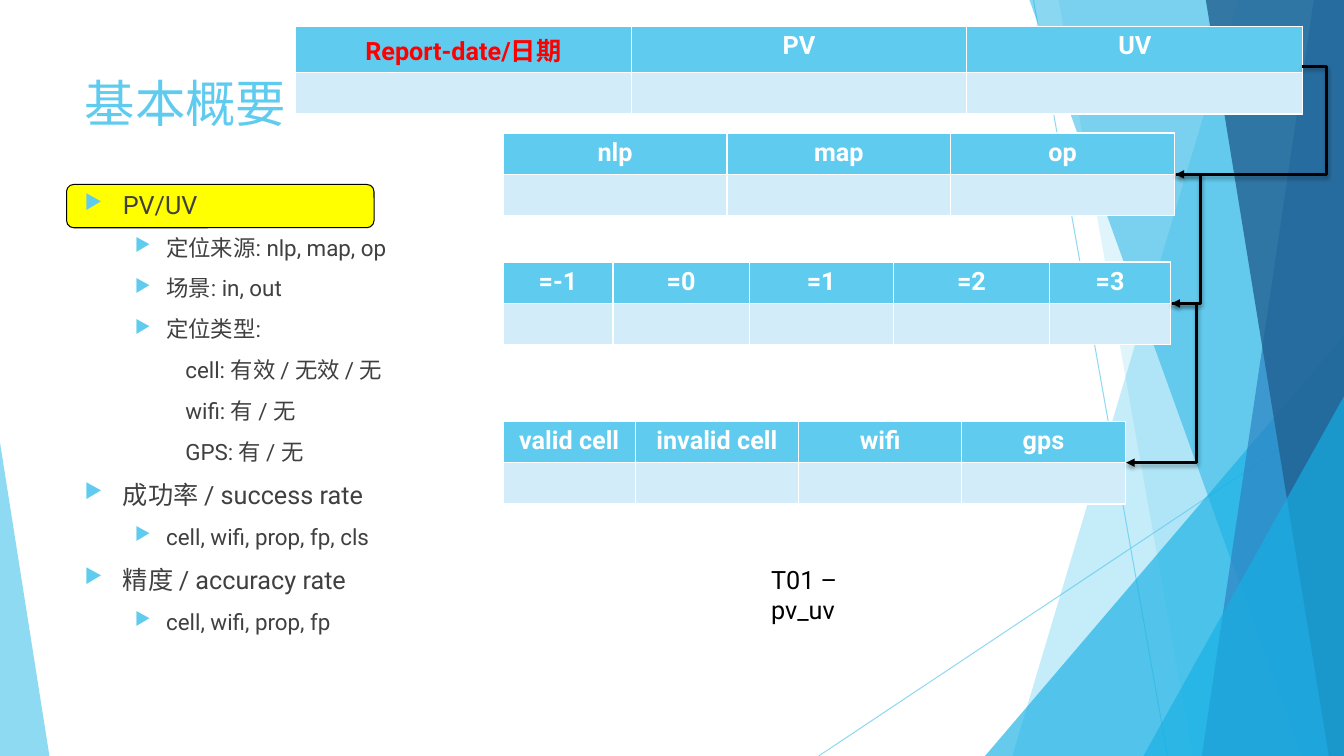
from lxml.etree import SubElement
from pptx import Presentation
from pptx.dml.color import RGBColor
from pptx.enum.shapes import MSO_CONNECTOR, MSO_SHAPE
from pptx.enum.text import MSO_ANCHOR, MSO_AUTO_SIZE, PP_ALIGN
from pptx.oxml.ns import qn
from pptx.util import Inches, Pt

FONT = "Roboto"
SKY = RGBColor(0x5F, 0xCB, 0xEF)
CYAN = RGBColor(0x17, 0xB0, 0xE4)
BLUE = RGBColor(0x2E, 0x83, 0xC3)
NAVY = RGBColor(0x22, 0x62, 0x92)
PALE = RGBColor(0xD2, 0xEC, 0xF9)
GREY = RGBColor(0x40, 0x40, 0x40)
YELLOW = RGBColor(0xFF, 0xFF, 0x00)
RED = RGBColor(0xFF, 0x00, 0x00)
BLACK = RGBColor(0, 0, 0)
WHITE = RGBColor(0xFF, 0xFF, 0xFF)

WIDTH, HEIGHT = 13.33, 7.5
ROW_HEIGHT = 0.41
ELBOW_REACH = 0.25

# Content
TITLE = "基本概要"
CAPTION = "T01 – pv_uv"
OUTLINE = [
    ("main", "PV/UV"),
    ("sub", "定位来源: nlp, map, op"),
    ("sub", "场景: in, out"),
    ("sub", "定位类型:"),
    ("detail", "cell: 有效 / 无效 / 无"),
    ("detail", "wifi: 有 / 无"),
    ("detail", "GPS: 有 / 无"),
    ("main", "成功率 / success rate"),
    ("sub", "cell, wifi, prop, fp, cls"),
    ("main", "精度 / accuracy rate"),
    ("sub", "cell, wifi, prop, fp"),
]
# Kind: level, size, left margin, first-line indent, bullet
OUTLINE_STYLES = {
    "main": (0, 18, 0.38, -0.38, True),
    "sub": (1, 16, 0.81, -0.31, True),
    "detail": (1, 16, 1.0, 0, False),
}
# Left, top, column widths, headings
TABLES = [
    (2.93, 0.26, [3.33] * 3, ["Report-date/日期", "PV", "UV"]),
    (4.99, 1.32, [2.22] * 3, ["nlp", "map", "op"]),
    (4.99, 2.6, [1.09, 1.35, 1.43, 1.55, 1.2], ["=-1", "=0", "=1", "=2", "=3"]),
    (4.99, 4.18, [1.31, 1.62, 1.62, 1.62],
     ["valid cell", "invalid cell", "wifi", "gps"]),
]
RED_HEADING = "Report-date/日期"
TABLE_LINKS = [(12.91, 0.66), (11.66, 1.73), (11.62, 3.01), (11.17, 4.59)]

# Background: lines, then bands (top left, bottom left) and corner triangles
RAYS = [((10.25, 0), (11.58, HEIGHT)), ((WIDTH, 4.03), (8.12, HEIGHT))]
FACETS = [
    ("band", (12.28, 10.04), SKY, 36),
    ("band", (10.5, 11.83), SKY, 20),
    ("triangle", (9.77, 3.33, 3.56, 1), CYAN, 66),
    ("band", (10.21, 12.91), CYAN, 50),
    ("band", (13.03, 11.92), BLUE, 70),
    ("band", (11.96, 13.18), NAVY, 80),
    ("triangle", (11.34, 3.93, 1.99, 1), CYAN, 66),
    ("triangle", (0, 4.39, 0.49, 0), SKY, 70),
]


def set_opacity(shape, percent):
    color = shape._element.spPr.find(".//" + qn("a:srgbClr"))
    SubElement(color, qn("a:alpha"), val=str(percent * 1000))


def format_text(run, color, **values):
    for name, value in {"name": FONT, "size": Pt(18), **values}.items():
        setattr(run.font, name, value)
    run.font.color.rgb = color


def format_frame(frame, **values):
    defaults = {"word_wrap": True, "auto_size": MSO_AUTO_SIZE.NONE,
                "vertical_anchor": MSO_ANCHOR.TOP}
    for name, value in {**defaults, **values}.items():
        setattr(frame, name, value)


def add_line(slide, kind, start, end, color, width):
    line = slide.shapes.add_connector(kind, *map(Inches, (*start, *end)))
    line.line.color.rgb = color
    line.line.width = Pt(width)
    return line, SubElement(line._element.spPr, qn("a:effectLst"))


def add_background(slide):
    for start, end in RAYS:
        ray, _ = add_line(slide, MSO_CONNECTOR.STRAIGHT, start, end, SKY, 0.75)
        set_opacity(ray, 70)
    for kind, geometry, color, opacity in FACETS:
        if kind == "band":
            top_left, bottom_left = geometry
            builder = slide.shapes.build_freeform(Inches(top_left), 0)
            corners = [(WIDTH, 0), (WIDTH, HEIGHT), (bottom_left, HEIGHT)]
            builder.add_line_segments([(Inches(x), Inches(y)) for x, y in corners])
            facet = builder.convert_to_shape()
        else:
            left, top, width, apex = geometry
            facet = slide.shapes.add_shape(
                MSO_SHAPE.ISOSCELES_TRIANGLE,
                *map(Inches, (left, top, width, HEIGHT - top)))
            facet.adjustments[0] = apex
        facet.shadow.inherit = False
        facet.fill.solid()
        facet.fill.fore_color.rgb = color
        facet.line.fill.background()
        set_opacity(facet, opacity)


def add_title(slide):
    title = slide.shapes.title
    box = {"left": 0.74, "top": 0.67, "width": 9.4, "height": 1.44}
    for name, value in box.items():
        setattr(title, name, Inches(value))
    format_frame(title.text_frame)
    paragraph = title.text_frame.paragraphs[0]
    paragraph.alignment = PP_ALIGN.LEFT
    run = paragraph.add_run()
    run.text = TITLE
    format_text(run, SKY, size=Pt(36))


def add_outline(slide):
    highlight = slide.shapes.add_shape(
        MSO_SHAPE.ROUNDED_RECTANGLE, *map(Inches, (0.66, 1.83, 3.05, 0.43)))
    highlight.shadow.inherit = False
    highlight.fill.solid()
    highlight.fill.fore_color.rgb = YELLOW
    highlight.line.color.rgb = BLACK
    highlight.line.width = Pt(0.75)

    frame = slide.shapes.add_textbox(*map(Inches, (0.74, 1.83, 9.4, 5))).text_frame
    format_frame(frame)
    for index, (kind, text) in enumerate(OUTLINE):
        level, size, margin, indent, bulleted = OUTLINE_STYLES[kind]
        paragraph = frame.add_paragraph() if index else frame.paragraphs[0]
        paragraph.level = level
        paragraph.space_before = Pt(10)
        run = paragraph.add_run()
        run.text = text
        format_text(run, GREY, size=Pt(size))
        properties = paragraph._p.get_or_add_pPr()
        properties.set("marL", str(Inches(margin)))
        properties.set("indent", str(Inches(indent)))
        if bulleted:
            color = SubElement(properties, qn("a:buClr"))
            SubElement(color, qn("a:srgbClr"), val=str(SKY))
            SubElement(properties, qn("a:buSzPct"), val="80000")
            SubElement(properties, qn("a:buChar"), char="▶")


def add_header_table(slide, left, top, widths, headings):
    box = map(Inches, (left, top, sum(widths), 2 * ROW_HEIGHT))
    table = slide.shapes.add_table(2, len(widths), *box).table
    for index, (width, heading) in enumerate(zip(widths, headings)):
        table.columns[index].width = Inches(width)
        for row, color in enumerate((SKY, PALE)):
            cell = table.cell(row, index)
            cell.fill.solid()
            cell.fill.fore_color.rgb = color
        paragraph = table.cell(0, index).text_frame.paragraphs[0]
        paragraph.alignment = PP_ALIGN.CENTER
        run = paragraph.add_run()
        run.text = heading
        format_text(run, RED if heading == RED_HEADING else WHITE, bold=True)


def add_table_link(slide, start, end):
    link, effects = add_line(slide, MSO_CONNECTOR.ELBOW, start, end, BLACK, 2)
    SubElement(link.line._get_or_add_ln(), qn("a:tailEnd"), type="triangle")
    # Bend to the right of both tables
    bend = round(-ELBOW_REACH / (start[0] - end[0]) * 100000)
    geometry = link._element.spPr.find(qn("a:prstGeom"))
    guides = geometry.find(qn("a:avLst"))
    SubElement(guides, qn("a:gd"), name="adj1", fmla=f"val {bend}")
    shadow = SubElement(effects, qn("a:outerShdw"), blurRad=str(Pt(3)),
                        dist=str(Pt(2)), dir="5400000", rotWithShape="0")
    color = SubElement(shadow, qn("a:srgbClr"), val=str(BLACK))
    SubElement(color, qn("a:alpha"), val="35000")


def main():
    presentation = Presentation()
    presentation.slide_width = Inches(WIDTH)
    presentation.slide_height = Inches(HEIGHT)
    slide = presentation.slides.add_slide(presentation.slide_layouts[5])

    add_background(slide)
    add_title(slide)
    add_outline(slide)
    for table in TABLES:
        add_header_table(slide, *table)

    # Caption
    caption = slide.shapes.add_textbox(*map(Inches, (7.55, 5.55, 1.5, 0.4)))
    format_frame(caption.text_frame)
    run = caption.text_frame.paragraphs[0].add_run()
    run.text = CAPTION
    format_text(run, BLACK)

    # Arrows from each table to the next
    for start, end in zip(TABLE_LINKS, TABLE_LINKS[1:]):
        add_table_link(slide, start, end)
    presentation.save("out.pptx")


if __name__ == "__main__":
    main()
